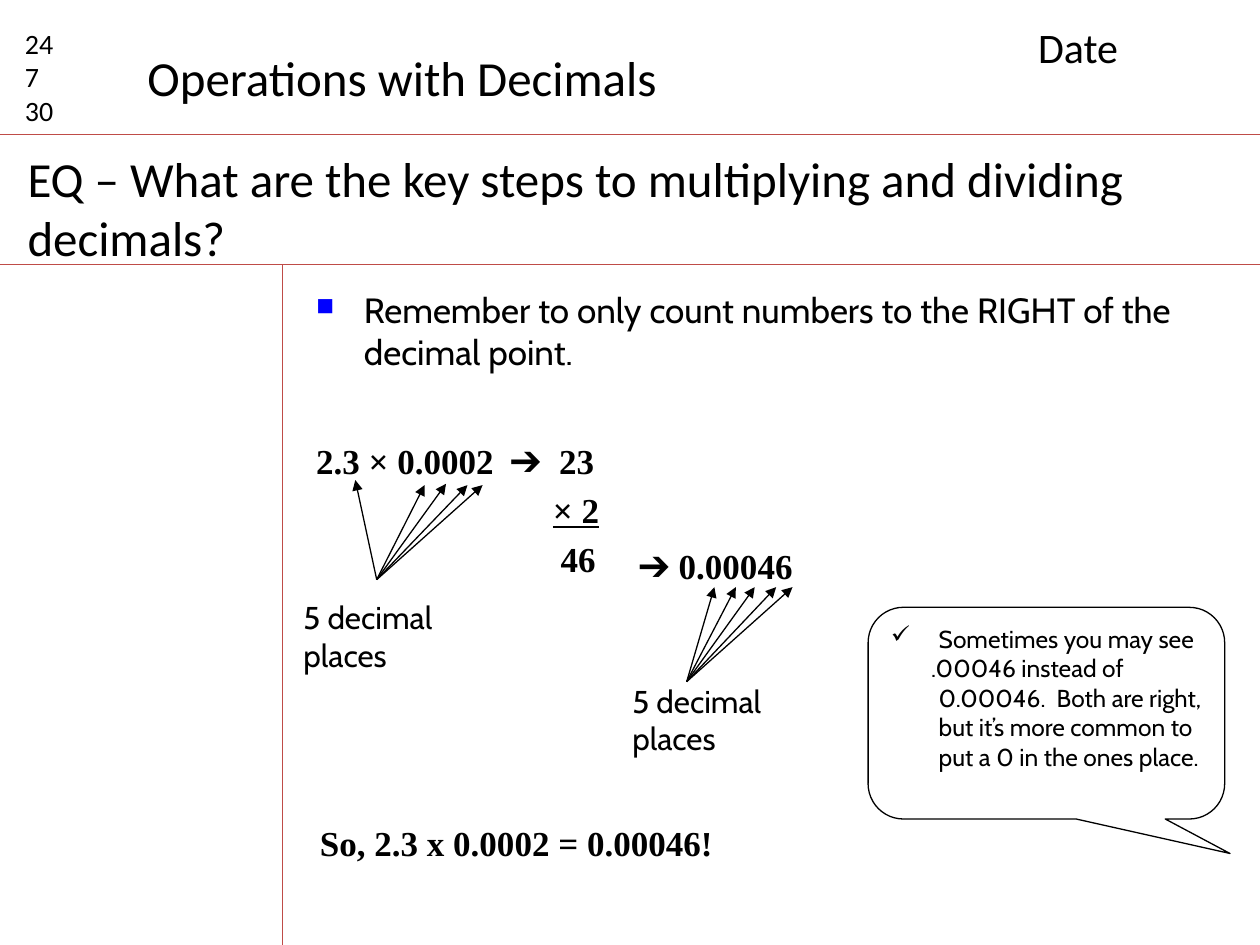
from lxml.etree import SubElement
from pptx import Presentation
from pptx.dml.color import RGBColor
from pptx.enum.shapes import MSO_CONNECTOR, MSO_SHAPE
from pptx.enum.text import MSO_ANCHOR, MSO_AUTO_SIZE, PP_ALIGN
from pptx.oxml.ns import qn
from pptx.util import Inches, Pt

COLORS = {"text": "000000", "rule": "BF4C48", "bullet": "0000FF", "paper": "FFFFFF"}
COLUMNS, ROWS = 100, 75
CELL = Inches(0.1)

deck = Presentation()
deck.slide_width, deck.slide_height = COLUMNS * CELL, ROWS * CELL
page = deck.slides.add_slide(deck.slide_layouts[5])


def fill_text(box, lines, size, font_name, bold=False, wrap=True):
    """Write one paragraph per line, left-aligned from the top of the box."""
    frame = box.text_frame
    frame.text = "\n".join(lines)
    frame.word_wrap = wrap
    frame.auto_size = MSO_AUTO_SIZE.NONE
    frame.vertical_anchor = MSO_ANCHOR.TOP
    for paragraph in frame.paragraphs:
        paragraph.alignment = PP_ALIGN.LEFT
        for span in paragraph.runs:
            span.font.size = Pt(size)
            span.font.name = font_name
            span.font.bold = bold
            span.font.color.rgb = RGBColor.from_string(COLORS["text"])
    return frame.paragraphs


def draw_line(start, end, color, arrow=False):
    points = [round(value * CELL) for value in (*start, *end)]
    line = page.shapes.add_connector(MSO_CONNECTOR.STRAIGHT, *points)
    line.line.color.rgb = RGBColor.from_string(COLORS[color])
    line.line.width = Pt(0.75)
    if arrow:
        SubElement(line.line._get_or_add_ln(), qn("a:tailEnd"), type="triangle")
    SubElement(line._element.spPr, qn("a:effectLst"))


# Ruled notebook lines
for start, end in [
    ((0, 10.7), (COLUMNS, 10.7)),
    ((0, 21), (COLUMNS, 21)),
    ((22.4, 21), (22.4, ROWS)),
]:
    draw_line(start, end, "rule")

# Title
title = page.shapes.title
title.left, title.top, title.width, title.height = [
    round(value * CELL) for value in (10.7, 3.3, 42.9, 5.7)
]
fill_text(title, ["Operations with Decimals"], 28, "Calibri", wrap=False)

# Text boxes: grid place, lines, size, font, bold, wrap
PLACES = ["5 decimal", "places"]
QUESTION = "EQ – What are the key steps to multiplying and dividing decimals?"
REMINDER = "Remember to only count numbers to the RIGHT of the decimal point."
text_boxes = [
    ((1, 1.6, 6.3, 9.1), ["24", "7", "30"], 16, "Calibri", False, True),
    ((81.4, 1.2, 17.3, 5), ["Date"], 24, "Calibri", False, True),
    ((1.2, 11.3, 97.9, 10.4), [QUESTION], 28, "Calibri", False, True),
    ((23.1, 47, 13.5, 7.1), PLACES, 18, "Cabin", False, False),
    ((49.2, 53.6, 13.5, 7.1), PLACES, 18, "Cabin", False, False),
    ((49.7, 42.7, 14.8, 4.4), ["➔ 0.00046"], 20, "Times New Roman", True, False),
    ((24.4, 64.7, 33.5, 4.4), ["So, 2.3 x 0.0002 = 0.00046!"], 20,
     "Times New Roman", True, False),
]
for place, lines, size, font_name, bold, wrap in text_boxes:
    box = page.shapes.add_textbox(*[round(value * CELL) for value in place])
    fill_text(box, lines, size, font_name, bold, wrap)

# Reminder and worked multiplication
body = page.shapes.add_textbox(*[round(value * CELL) for value in (24.1, 22.4, 75.9, 50.1)])
reminder, equation, factor, product = fill_text(
    body, [REMINDER, "2.3 × 0.0002\t➔\t23", "× 2", "46"], 20, "Times New Roman", True
)
reminder.runs[0].font.name = "Cabin"
reminder.runs[0].font.bold = False
factor.runs[0].font.underline = True
for paragraph, gap, indent in [(equation, 38, 0), (factor, 4, 18.8), (product, 4, 19.4)]:
    paragraph.space_before = Pt(gap)
    paragraph._p.get_or_add_pPr().set("marL", str(round(indent * CELL)))
tabs = SubElement(equation._p.get_or_add_pPr(), qn("a:tabLst"))
for stop in (15.4, 19.3):
    SubElement(tabs, qn("a:tab"), pos=str(round(stop * CELL)), algn="l")

# Callout
callout = page.shapes.add_shape(
    MSO_SHAPE.ROUNDED_RECTANGULAR_CALLOUT,
    *[round(value * CELL) for value in (68.9, 48.2, 28.3, 16.8)],
)
callout.shadow.inherit = False
callout.fill.solid()
callout.fill.fore_color.rgb = RGBColor.from_string(COLORS["paper"])
callout.line.color.rgb = RGBColor.from_string(COLORS["text"])
callout.line.width = Pt(0.75)
for index, value in enumerate((0.515, 0.663, 0.167)):
    callout.adjustments[index] = value
tip, detail = fill_text(
    callout,
    [
        "Sometimes you may see",
        ".00046 instead of 0.00046.  Both are right, but it’s more common "
        "to put a 0 in the ones place.",
    ],
    14,
    "Cabin",
)

# Hanging indents and bullets
for paragraph, hang, mark, color, percent in [
    (reminder, 3.8, "■", "bullet", 70),
    (tip, 3.8, "✓", "text", 100),
    (detail, 0.6, None, None, None),
]:
    properties = paragraph._p.get_or_add_pPr()
    properties.set("marL", str(round(3.8 * CELL)))
    properties.set("indent", str(round(-hang * CELL)))
    if mark:
        bullet_color = SubElement(properties, qn("a:buClr"))
        SubElement(bullet_color, qn("a:srgbClr"), val=COLORS[color])
        SubElement(properties, qn("a:buSzPct"), val=str(percent * 1000))
        SubElement(properties, qn("a:buChar"), char=mark)

# Arrows fanning out from each label to the counted digits
fans = [
    ((29.9, 46), [(28.2, 38.1), (33.7, 38.5), (35.4, 38.4), (37.1, 38.5), (38.3, 38.5)]),
    ((54.5, 54.1), [(column, 46.6) for column in (56.7, 58.4, 59.9, 61.6, 62.9)]),
]
for origin, digits in fans:
    for digit in digits:
        draw_line(origin, digit, "text", arrow=True)

deck.save("out.pptx")
